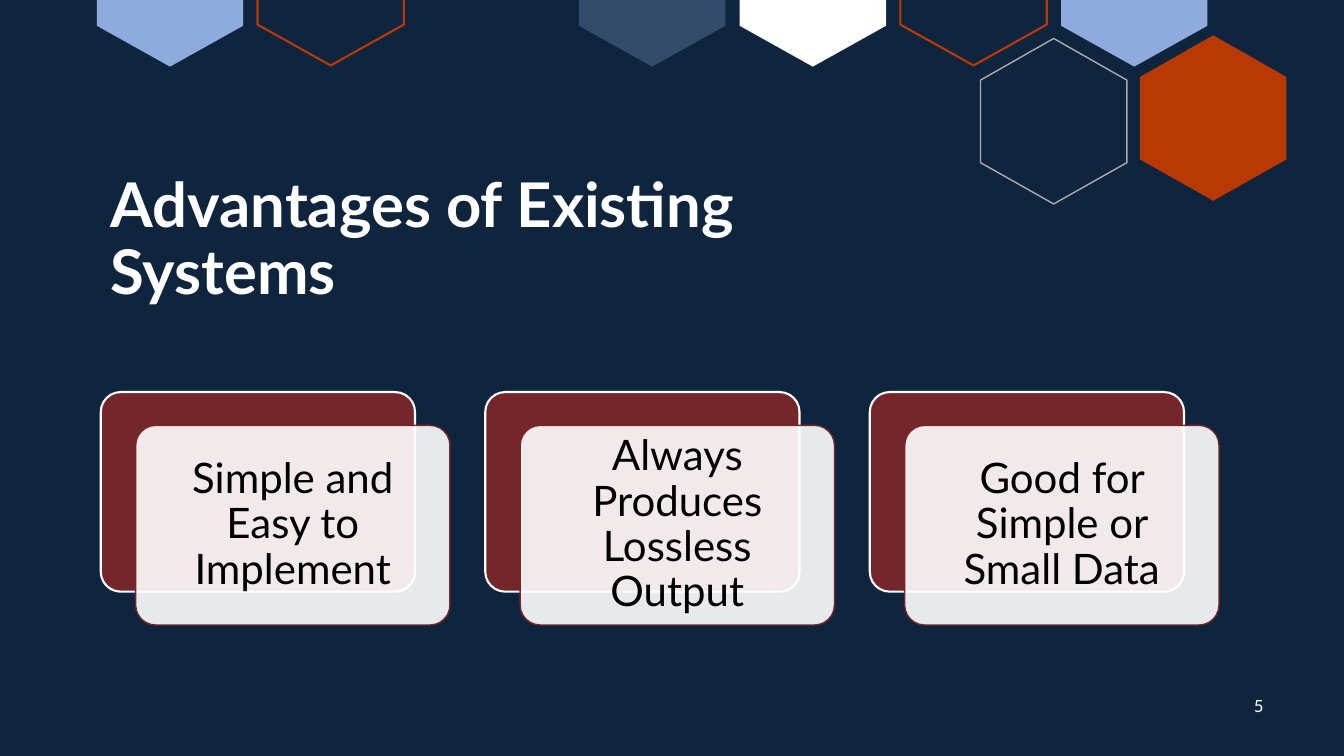
from dataclasses import dataclass
from typing import Optional

from lxml.etree import SubElement
from pptx import Presentation
from pptx.dml.color import RGBColor
from pptx.enum.shapes import MSO_SHAPE
from pptx.enum.text import MSO_ANCHOR, PP_ALIGN
from pptx.oxml.ns import qn
from pptx.util import Cm, Pt

COLORS = {
    "navy": "0F253E",
    "slate": "334C6A",
    "white": "FFFFFF",
    "blue": "8FAADC",
    "orange": "B83903",
    "gray": "AFABAB",
    "maroon": "75262A",
    "black": "000000",
}
FONT = "Lato"

HEX_LEFT, HEX_PITCH, HEX_W = 2.44, 4.05, 3.69
CARD_LEFT, CARD_TOP, CARD_PITCH = 2.54, 9.88, 9.69
CARD_W, CARD_H = 7.92, 5.03
FRONT_DX, FRONT_DY = 0.88, 0.84


@dataclass
class Hexagon:
    left: float
    top: float
    fill: Optional[str] = None
    line: Optional[str] = None
    line_pt: float = 1.5
    half: bool = False


@dataclass
class TextStyle:
    size: float
    color: str
    bold: bool = False
    align: PP_ALIGN = PP_ALIGN.LEFT
    anchor: MSO_ANCHOR = MSO_ANCHOR.MIDDLE
    spacing: float = 1.0
    after: float = 6


TITLE = TextStyle(44, "white", bold=True, anchor=MSO_ANCHOR.BOTTOM, spacing=0.9)
NUMBER = TextStyle(12, "white", align=PP_ALIGN.CENTER)
CARD = TextStyle(30, "black", align=PP_ALIGN.CENTER, spacing=0.9, after=10.5)


def top_hexagon(column: int, **look) -> Hexagon:
    """Lower half of a hexagon hanging from the slide's top edge."""
    top = -0.03 if "line" in look else 0
    return Hexagon(HEX_LEFT + column * HEX_PITCH, top, half=True, **look)


HEXAGONS = [
    Hexagon(24.71, 0.97, line="gray", line_pt=1),
    top_hexagon(3, fill="slate"),
    top_hexagon(4, fill="white"),
    top_hexagon(0, fill="blue"),
    top_hexagon(1, line="orange"),
    top_hexagon(5, line="orange"),
    top_hexagon(6, fill="blue"),
    Hexagon(28.73, 0.89, fill="orange"),
]
ADVANTAGES = [
    "Simple and Easy to Implement",
    "Always Produces Lossless Output",
    "Good for Simple or Small Data",
]


def rgb(name: str) -> RGBColor:
    return RGBColor.from_string(COLORS[name])


def paint(sp, fill: Optional[str], line: Optional[str], line_pt: float = 1) -> None:
    sp.shadow.inherit = False
    if fill:
        sp.fill.solid()
        sp.fill.fore_color.rgb = rgb(fill)
    else:
        sp.fill.background()
    if line:
        sp.line.color.rgb = rgb(line)
        sp.line.width = Pt(line_pt)
    else:
        sp.line.fill.background()


def add_hexagon(s, h: Hexagon) -> None:
    middle = HEX_W / 2
    if h.half:
        points = [(0, 0), (HEX_W, 0), (HEX_W, 0.65), (middle, 1.68), (0, 0.65)]
    else:
        points = [(middle, 0), (HEX_W, 1.05), (HEX_W, 3.13),
                  (middle, 4.17), (0, 3.13), (0, 1.05)]
    points = [(Cm(h.left + x), Cm(h.top + y)) for x, y in points]
    builder = s.shapes.build_freeform(*points[0])
    builder.add_line_segments(points[1:], close=True)
    paint(builder.convert_to_shape(), h.fill, h.line, h.line_pt)


def write(sp, text: str, style: TextStyle) -> None:
    tf = sp.text_frame
    tf.word_wrap = True
    tf.vertical_anchor = style.anchor
    p = tf.paragraphs[0]
    p.alignment = style.align
    p.line_spacing = style.spacing
    p.space_after = Pt(style.after)
    r = p.add_run()
    r.text = text
    r.font.name = FONT
    r.font.size = Pt(style.size)
    r.font.bold = style.bold
    r.font.color.rgb = rgb(style.color)


def add_text(s, left: float, top: float, width: float, height: float,
             text: str, style: TextStyle) -> None:
    write(s.shapes.add_textbox(Cm(left), Cm(top), Cm(width), Cm(height)), text, style)


def add_panel(s, left: float, top: float, fill: str, line: str, line_pt: float):
    sp = s.shapes.add_shape(MSO_SHAPE.ROUNDED_RECTANGLE,
                            Cm(left), Cm(top), Cm(CARD_W), Cm(CARD_H))
    sp.adjustments[0] = 0.1
    paint(sp, fill, line, line_pt)
    return sp


def add_card(s, left: float, text: str) -> None:
    """Maroon panel with a translucent white panel offset in front of it."""
    add_panel(s, left, CARD_TOP, "maroon", "white", 1.5)
    front = add_panel(s, left + FRONT_DX, CARD_TOP + FRONT_DY, "white", "maroon", 1)
    color = front.fill._xPr.find(qn("a:solidFill"))[0]
    SubElement(color, qn("a:alpha"), val="90000")
    tf = front.text_frame
    tf.margin_left = tf.margin_right = tf.margin_top = tf.margin_bottom = Cm(0.3)
    write(front, text, CARD)


def main() -> None:
    prs = Presentation()
    prs.slide_width, prs.slide_height = Cm(33.87), Cm(19.05)
    s = prs.slides.add_slide(prs.slide_layouts[6])
    s.background.fill.solid()
    s.background.fill.fore_color.rgb = rgb("navy")

    for hexagon in HEXAGONS:
        add_hexagon(s, hexagon)
    add_text(s, 2.54, 2.03, 21.31, 5.84, "Advantages of Existing Systems", TITLE)
    add_text(s, 31.09, 17.27, 1.27, 1.02, "5", NUMBER)
    for i, advantage in enumerate(ADVANTAGES):
        add_card(s, CARD_LEFT + i * CARD_PITCH, advantage)

    prs.save("out.pptx")


if __name__ == "__main__":
    main()
